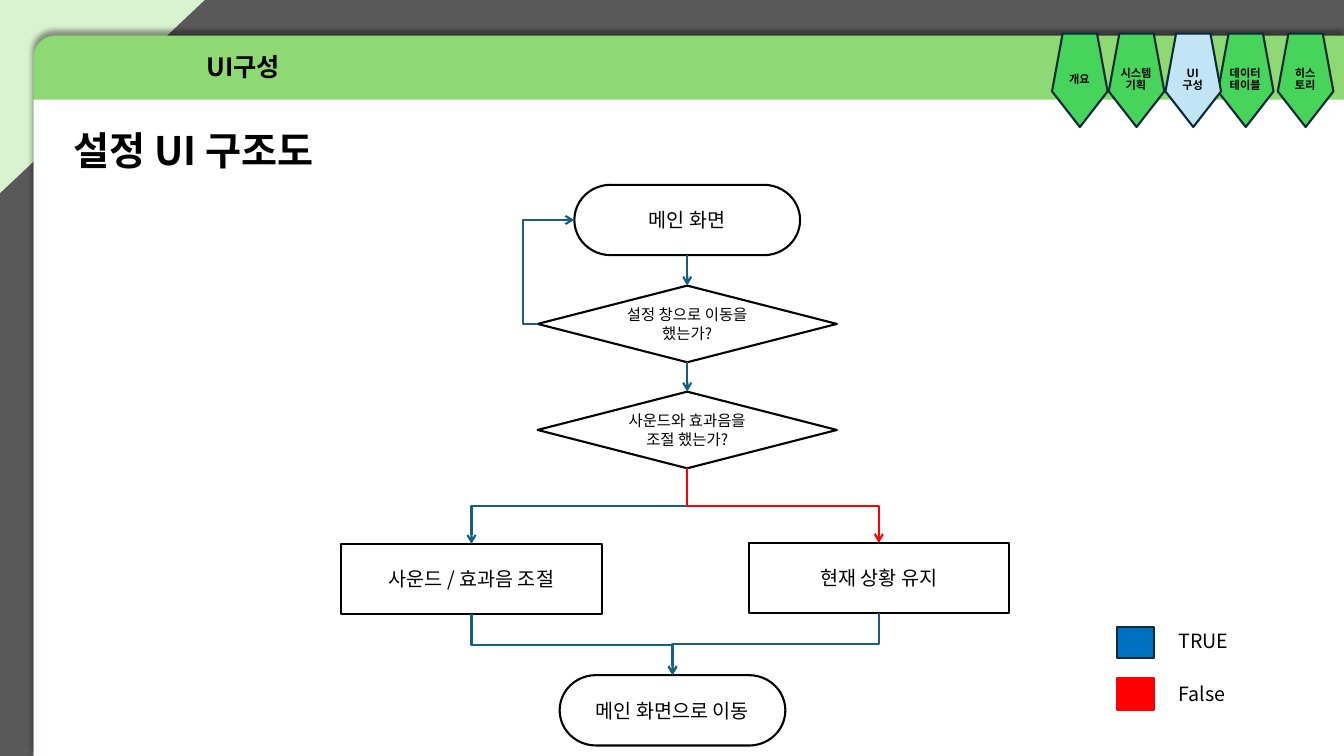
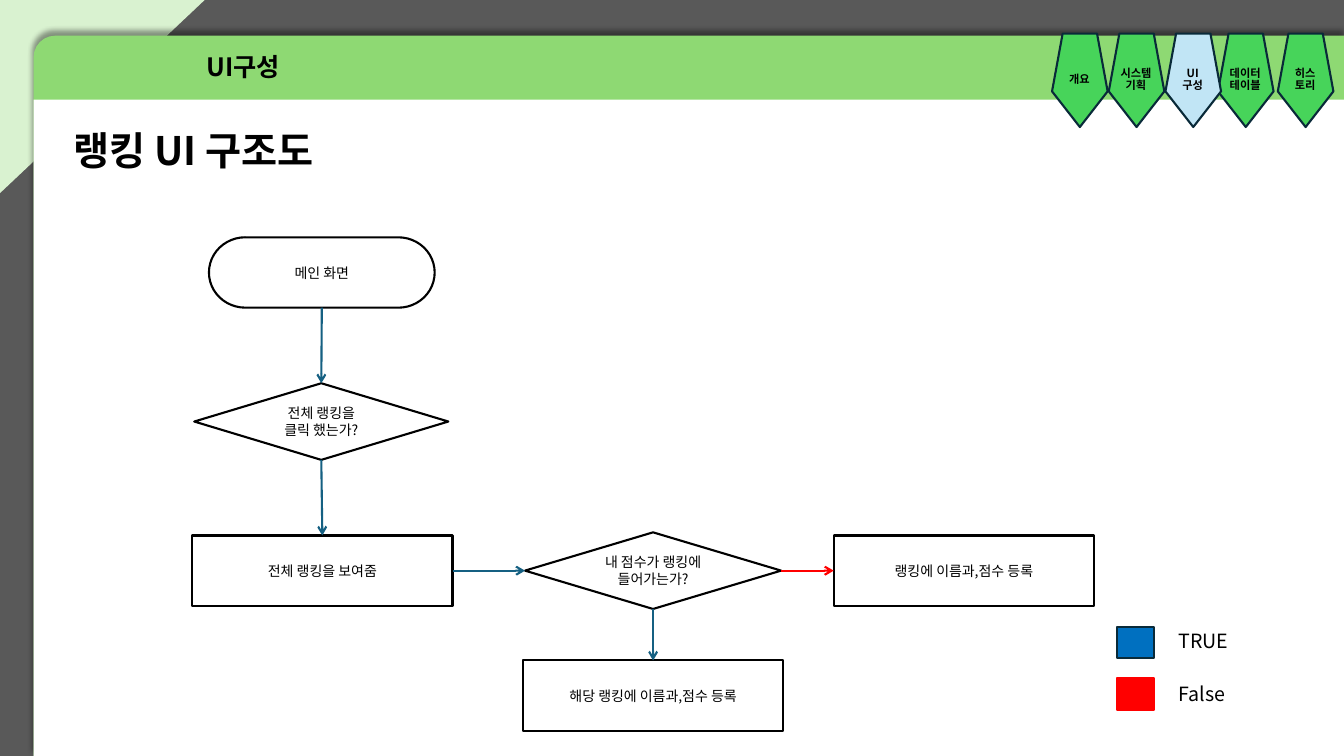
"""Build two UI flowchart slides that share one layout with section tabs."""
from lxml.etree import SubElement
from pptx import Presentation
from pptx.dml.color import RGBColor
from pptx.enum.shapes import MSO_CONNECTOR, MSO_SHAPE
from pptx.enum.text import MSO_ANCHOR, MSO_AUTO_SIZE, PP_ALIGN
from pptx.oxml.ns import qn
from pptx.util import Pt

PX = 9525
FONT = "Noto Sans CJK KR"
BLACK, WHITE, RED = "000000", "FFFFFF", "FF0000"
BACKDROP, CORNER, BAND = "595959", "D9F2D0", "8ED973"
TAB, TAB_ACTIVE, TAB_LINE = "47D45A", "C1E5F5", "092A39"
TRUE_BLUE, ARROW = "0070C0", "156082"
rgb = RGBColor.from_string


def write(tf, text, size, bold=False, align=PP_ALIGN.CENTER, anchor=MSO_ANCHOR.MIDDLE, spacing=None):
    tf.text = text
    tf.word_wrap = True
    tf.auto_size = MSO_AUTO_SIZE.NONE
    tf.vertical_anchor = anchor
    for p in tf.paragraphs:
        p.alignment = align
        p.line_spacing = spacing
        p.space_before = Pt(0)
        p.font.name = FONT
        p.font.size = Pt(size)
        p.font.bold = bold
        p.font.color.rgb = rgb(BLACK)
        SubElement(p._p.pPr.find(qn("a:defRPr")), qn("a:ea"), typeface=FONT)


def add_shape(s, kind, box, fill=None, line=None, flip=None):
    sp = s.shapes.add_shape(kind, *[v * PX for v in box])
    sp.shadow.inherit = False
    if fill:
        sp.fill.solid()
        sp.fill.fore_color.rgb = rgb(fill)
    else:
        sp.fill.background()
    if line:
        sp.line.color.rgb = rgb(line)
        sp.line.width = Pt(1.5)
    else:
        sp.line.fill.background()
    if flip:
        sp.element.spPr.xfrm.set(flip, "1")
    return sp


TABS = [
    (1002, 46, "개요"),
    (1056, 56, "시스템기획"),
    (1110, 46, "UI\v구성"),
    (1160, 56, "데이터테이블"),
    (1217, 46, "히스토리"),
]
TAB_W, TAB_H, TAB_TOP = 53, 89, 32
LEGEND = [("TRUE", TRUE_BLUE, TAB_LINE, 597, 594), ("False", RED, RED, 646, 645)]

TERMINATOR = MSO_SHAPE.FLOWCHART_TERMINATOR
DECISION = MSO_SHAPE.FLOWCHART_DECISION
PROCESS = MSO_SHAPE.FLOWCHART_PROCESS
STRAIGHT, ELBOW = MSO_CONNECTOR.STRAIGHT, MSO_CONNECTOR.ELBOW
TOP, LEFT, BOTTOM, RIGHT = range(4)

CHARTS = [
    {
        "title": "설정 UI 구조도",
        "nodes": {
            "main": (TERMINATOR, (547, 176, 215, 67), 14, "메인 화면"),
            "sound?": (DECISION, (512, 373, 285, 73), 11, "사운드와 효과음을\n조절 했는가?"),
            "adjust": (PROCESS, (325, 518, 248, 67), 14, "사운드 / 효과음 조절"),
            "end": (TERMINATOR, (533, 643, 215, 67), 14, "메인 화면으로 이동"),
            "keep": (PROCESS, (713, 517, 248, 67), 14, "현재 상황 유지"),
            "settings?": (DECISION, (512, 272, 285, 73), 11, "설정 창으로 이동을 했는가?"),
        },
        "links": [
            (ELBOW, "settings?", LEFT, "main", LEFT, ARROW),
            (ELBOW, "sound?", BOTTOM, "adjust", TOP, ARROW),
            (ELBOW, "sound?", BOTTOM, "keep", TOP, RED),
            (ELBOW, "adjust", BOTTOM, "end", TOP, ARROW),
            (ELBOW, "keep", BOTTOM, "end", TOP, ARROW),
            (STRAIGHT, "main", BOTTOM, "settings?", TOP, ARROW),
            (STRAIGHT, "settings?", BOTTOM, "sound?", TOP, ARROW),
        ],
    },
    {
        "title": "랭킹 UI 구조도",
        "nodes": {
            "main": (TERMINATOR, (199, 226, 215, 67), 10, "메인 화면"),
            "show": (PROCESS, (183, 510, 248, 67), 10, "전체 랭킹을 보여줌"),
            "click?": (DECISION, (185, 365, 242, 73), 10, "전체 랭킹을\n클릭 했는가?"),
            "score?": (DECISION, (500, 507, 244, 73), 10, "내 점수가 랭킹에 들어가는가?"),
            "register": (PROCESS, (498, 629, 248, 67), 10, "해당 랭킹에 이름과,점수 등록"),
            "name": (PROCESS, (794, 510, 248, 67), 10, "랭킹에 이름과,점수 등록"),
        },
        "links": [
            (STRAIGHT, "main", BOTTOM, "click?", TOP, ARROW),
            (STRAIGHT, "click?", BOTTOM, "show", TOP, ARROW),
            (STRAIGHT, "show", RIGHT, "score?", LEFT, ARROW),
            (STRAIGHT, "score?", RIGHT, "name", LEFT, RED),
            (STRAIGHT, "score?", BOTTOM, "register", TOP, ARROW),
        ],
    },
]

prs = Presentation()
prs.slide_width, prs.slide_height = 1280 * PX, 720 * PX
layout = prs.slide_layouts[5]
layout.background.fill.solid()
layout.background.fill.fore_color.rgb = rgb(BACKDROP)
for ph in list(layout.placeholders)[1:]:
    layout.shapes.element.remove(ph.element)
slides = [prs.slides.add_slide(layout) for chart in CHARTS]

s = slides[0]
add_shape(s, MSO_SHAPE.RIGHT_TRIANGLE, (0, 0, 195, 184), CORNER, flip="flipV")
panel = add_shape(s, MSO_SHAPE.ROUND_1_RECTANGLE, (32, 34, 1248, 686), BAND, flip="flipH")
panel.adjustments[0] = 0.03
effects = panel.element.spPr.find(qn("a:effectLst"))
shadow = SubElement(effects, qn("a:outerShdw"), blurRad="50800", dist="38100", dir="16200000",
                    algn="b", rotWithShape="0")
tint = SubElement(shadow, qn("a:srgbClr"), val=BLACK)
SubElement(tint, qn("a:alpha"), val="40000")
add_shape(s, MSO_SHAPE.RECTANGLE, (32, 95, 1248, 625), WHITE)
for x, w, label in reversed(TABS):
    fill = TAB_ACTIVE if label.startswith("UI") else TAB
    add_shape(s, MSO_SHAPE.REGULAR_PENTAGON, (x, TAB_TOP, TAB_W, TAB_H), fill, TAB_LINE, "flipV")
for sp in list(s.shapes)[1:]:
    layout.shapes.element.append(sp.element)

for s, chart in zip(slides, CHARTS):
    title = s.shapes.title
    title.left, title.top, title.width, title.height = [v * PX for v in (60, 121, 391, 53)]
    write(title.text_frame, chart["title"], 28, True, PP_ALIGN.LEFT, MSO_ANCHOR.TOP, 0.9)

    section = s.shapes.add_textbox(*[v * PX for v in (36, 37, 391, 57)])
    write(section.text_frame, "UI구성", 18, True, spacing=0.9)
    for x, w, label in TABS:
        tb = s.shapes.add_textbox((x + (TAB_W - w) // 2) * PX, 48 * PX, w * PX, 57 * PX)
        write(tb.text_frame, label, 8, True, spacing=0.9)

    for label, fill, line, key_top, text_top in LEGEND:
        add_shape(s, MSO_SHAPE.RECTANGLE, (1064, key_top, 35, 30), fill, line)
        tb = s.shapes.add_textbox(*[v * PX for v in (1113, text_top, 102, 32)])
        write(tb.text_frame, label, 14, align=PP_ALIGN.LEFT, anchor=MSO_ANCHOR.TOP)

    nodes = {}
    for name, (kind, box, size, text) in chart["nodes"].items():
        nodes[name] = add_shape(s, kind, box, line=BLACK)
        write(nodes[name].text_frame, text, size)

    for kind, start, start_side, end, end_side, color in chart["links"]:
        c = s.shapes.add_connector(kind, 0, 0, 0, 0)
        c.begin_connect(nodes[start], start_side)
        c.end_connect(nodes[end], end_side)
        c.line.color.rgb = rgb(color)
        c.line.width = Pt(1.5)
        spPr = c.element.spPr
        SubElement(spPr.find(qn("a:ln")), qn("a:tailEnd"), type="arrow")
        SubElement(spPr, qn("a:effectLst"))
        if kind == ELBOW and start_side == BOTTOM:
            dx, dy = c.end_x - c.begin_x, c.end_y - c.begin_y
            mid_x, mid_y = (c.begin_x + c.end_x) // 2, (c.begin_y + c.end_y) // 2
            c.left, c.top = mid_x - dy // 2, mid_y - abs(dx) // 2
            c.width, c.height = dy, abs(dx)
            spPr.xfrm.set("rot", "5400000")
            spPr.xfrm.set("flipH", "0")
            spPr.xfrm.set("flipV", "1" if dx > 0 else "0")
        elif kind == ELBOW:
            guides = spPr.find(qn("a:prstGeom")).find(qn("a:avLst"))
            SubElement(guides, qn("a:gd"), name="adj1", fmla="val -40000")

prs.save("out.pptx")
